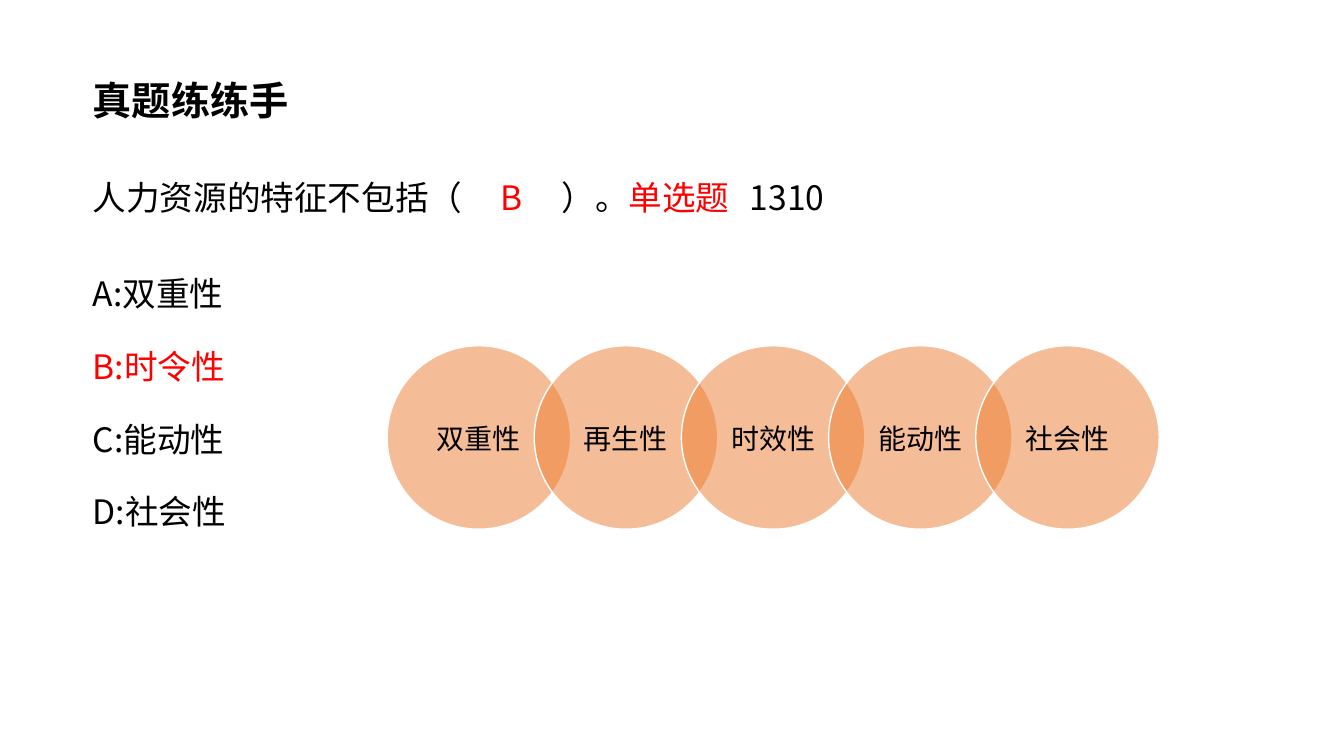
from lxml import etree
from pptx import Presentation, util as u
from pptx.dml.color import RGBColor
from pptx.enum import shapes, text
from pptx.oxml.ns import qn

CELL = u.Inches(0.1)
BLACK, RED, ORANGE, WHITE = "000000", "FF0000", "ED7D31", "FFFFFF"
SANS, LABEL = "Noto Sans CJK SC", "Noto Sans CJK JP"


def tint(color, code):
    color.rgb = RGBColor.from_string(code)


def write(para, words, size=24, face=SANS, color=BLACK, bold=False, line=30, gap=0):
    para.line_spacing = u.Pt(line)
    para.space_before = u.Pt(gap)
    run = para.add_run()
    run.text = words
    run.font.size = u.Pt(size)
    run.font.bold = bold
    run.font.name = face
    tint(run.font.color, color)
    etree.SubElement(run.font._element, qn("a:ea")).set("typeface", face)


deck = Presentation()
deck.slide_width, deck.slide_height = int(133.33 * CELL), 75 * CELL
slide = deck.slides.add_slide(deck.slide_layouts[6])

frames = []
for top, wide, high in [(6.5, 96.5, 5.9), (14.7, 114.5, 55.1)]:
    box = slide.shapes.add_textbox(*(int(n * CELL) for n in (8, top, wide, high)))
    frame = box.text_frame
    frame.word_wrap = True
    frame.margin_left = frame.margin_right = u.Inches(0.12)
    frame.margin_top = frame.margin_bottom = u.Inches(0.06)
    frames.append(frame)
title, quiz = frames

write(title.paragraphs[0], "真题练练手", size=28, bold=True, line=37)

ask = quiz.paragraphs[0]
tabs = etree.SubElement(ask._p.get_or_add_pPr(), qn("a:tabLst"))
for stop in (40.4, 46.5, 65.2):
    etree.SubElement(tabs, qn("a:tab"), pos=str(int(stop * CELL)), algn="l")
for words, color in [("人力资源的特征不包括（", BLACK), ("\tB", RED), ("\t）。", BLACK),
                     ("单选题", RED), ("\t1310", BLACK)]:
    write(ask, words, color=color, line=45)

for words in ("A:双重性", "B:时令性", "C:能动性", "D:社会性"):
    first, right = words[0] == "A", words[0] == "B"
    write(quiz.add_paragraph(), words, color=RED if right else BLACK, gap=38.6 if first else 22)

SIZE, STEP, INSET = 18.2, 14.6, 2.65
for col, words in enumerate(("双重性", "再生性", "时效性", "能动性", "社会性")):
    left, top = 38.4 + col * STEP, 34.3
    disc = slide.shapes.add_shape(shapes.MSO_SHAPE.OVAL,
                                  *(int(n * CELL) for n in (left, top, SIZE, SIZE)))
    disc.shadow.inherit = False
    disc.fill.solid()
    tint(disc.fill.fore_color, ORANGE)
    shade = disc._element.spPr.find(qn("a:solidFill"))[0]
    etree.SubElement(shade, qn("a:alpha"), val="50000")
    tint(disc.line.color, WHITE)
    disc.line.width = u.Pt(1)

    side = SIZE - 2 * INSET
    label = slide.shapes.add_textbox(
        *(int(n * CELL) for n in (left + INSET, top + INSET, side, side)))
    frame = label.text_frame
    frame.word_wrap = True
    frame.vertical_anchor = text.MSO_ANCHOR.MIDDLE
    frame.margin_top = frame.margin_bottom = u.Inches(0.03)
    frame.paragraphs[0].alignment = text.PP_ALIGN.CENTER
    write(frame.paragraphs[0], words, size=20, face=LABEL, line=25)

deck.save("out.pptx")
